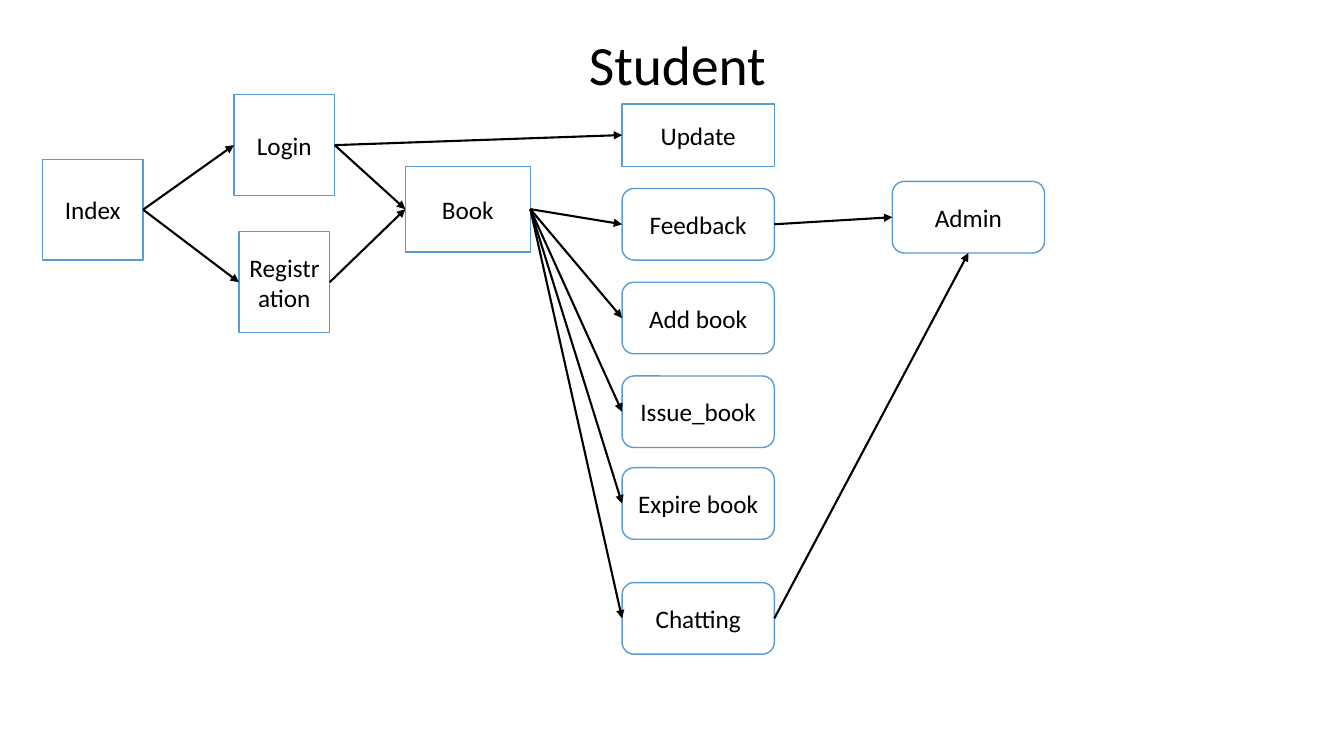
from lxml import etree
from pptx import Presentation
from pptx import util as u
from pptx.dml.color import RGBColor
from pptx.enum import shapes, text
from pptx.oxml.ns import qn

HUES = {"ink": "000000", "edge": "5B9BD5", "fill": "FFFFFF"}
FONT = "Calibri"
RECT = shapes.MSO_SHAPE.RECTANGLE
ROUND = shapes.MSO_SHAPE.ROUNDED_RECTANGLE
BOTTOM, LEFT, RIGHT = 2, 1, 3

# Name, preset, left, top, width, height
BOXES = [
    ("Index", RECT, 0.42, 1.58, 1, 1),
    ("Login", RECT, 2.32, 0.94, 1, 1),
    ("Registration", RECT, 2.37, 2.3, 0.9, 1),
    ("Book", RECT, 4.02, 1.65, 1.24, 0.85),
    ("Update", RECT, 6.17, 1.03, 1.51, 0.62),
    ("Admin", ROUND, 8.85, 1.8, 1.51, 0.71),
]

# Pages reached from Book, with their tops
PAGES = {"Feedback": 1.87, "Add book": 2.8, "Issue_book": 3.73,
         "Expire book": 4.64, "Chatting": 5.78}

# Start, start side, end, end side
LINKS = [
    ("Index", RIGHT, "Login", LEFT),
    ("Index", RIGHT, "Registration", LEFT),
    ("Login", RIGHT, "Book", LEFT),
    ("Registration", RIGHT, "Book", LEFT),
    ("Login", RIGHT, "Update", LEFT),
    ("Feedback", RIGHT, "Admin", LEFT),
    ("Chatting", RIGHT, "Admin", BOTTOM),
]


def hue(name):
    return RGBColor.from_string(HUES[name])


def add_run(para, words, size):
    run = para.add_run()
    run.text = words
    run.font.name = FONT
    run.font.size = u.Pt(size)
    run.font.color.rgb = hue("ink")


def add_title(slide, words):
    box = slide.shapes.add_textbox(u.Inches(0.92), u.Inches(0.4),
                                   u.Inches(11.5), u.Inches(0.54))
    frame = box.text_frame
    frame.word_wrap = True
    frame.vertical_anchor = text.MSO_ANCHOR.MIDDLE
    frame.margin_left = u.Inches(4.92)
    para = frame.paragraphs[0]
    para.line_spacing = 0.9
    add_run(para, words, 39.6)


def add_box(slide, words, kind, *place):
    box = slide.shapes.add_shape(kind, *map(u.Inches, place))
    box.shadow.inherit = False
    box.fill.solid()
    box.fill.fore_color.rgb = hue("fill")
    box.line.color.rgb = hue("edge")
    box.line.width = u.Pt(1)
    frame = box.text_frame
    frame.word_wrap = True
    frame.vertical_anchor = text.MSO_ANCHOR.MIDDLE
    para = frame.paragraphs[0]
    para.alignment = text.PP_ALIGN.CENTER
    add_run(para, words, 18)
    return box


def add_arrow(slide, start, out, end, into):
    line = slide.shapes.add_connector(shapes.MSO_CONNECTOR.STRAIGHT, 0, 0, 0, 0)
    line.begin_connect(start, out)
    line.end_connect(end, into)
    line.line.color.rgb = hue("ink")
    line.line.width = u.Pt(1.5)
    # Arrowhead and no shadow
    props = line._element.spPr
    etree.SubElement(props.find(qn("a:ln")), qn("a:tailEnd"), type="triangle")
    etree.SubElement(props, qn("a:effectLst"))


def main():
    deck = Presentation()
    deck.slide_width, deck.slide_height = u.Inches(13.33), u.Inches(7.5)
    slide = deck.slides.add_slide(deck.slide_layouts[6])
    add_title(slide, "Student")

    # Boxes
    column = [(name, ROUND, 6.17, top, 1.51, 0.71)
              for name, top in PAGES.items()]
    nodes = {row[0]: add_box(slide, *row) for row in BOXES + column}

    # Arrows
    fan = [("Book", RIGHT, name, LEFT) for name in PAGES]
    for start, out, end, into in LINKS + fan:
        add_arrow(slide, nodes[start], out, nodes[end], into)

    deck.save("out.pptx")


if __name__ == "__main__":
    main()
